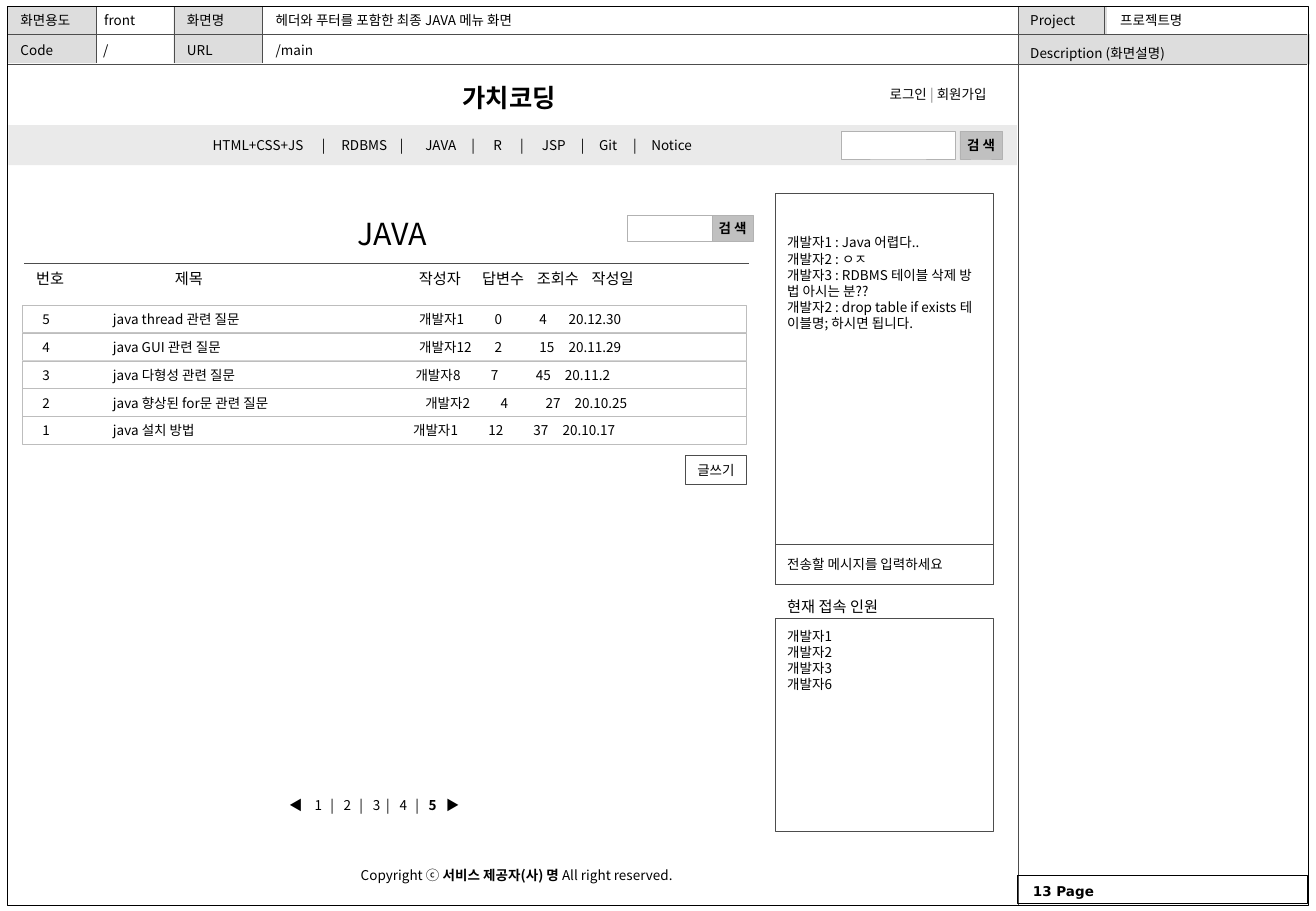
from dataclasses import dataclass
from typing import NamedTuple

from lxml import etree
from pptx import Presentation
from pptx.enum.shapes import MSO_CONNECTOR, MSO_SHAPE
from pptx.enum.text import MSO_ANCHOR, PP_ALIGN
from pptx.dml.color import RGBColor
from pptx.oxml.ns import qn
from pptx.util import Inches, Pt

RECTANGLE = MSO_SHAPE.RECTANGLE
STRAIGHT = MSO_CONNECTOR.STRAIGHT
TOP, MIDDLE = MSO_ANCHOR.TOP, MSO_ANCHOR.MIDDLE
LEFT, CENTER, RIGHT = PP_ALIGN.LEFT, PP_ALIGN.CENTER, PP_ALIGN.RIGHT
FONT = "Noto Sans CJK KR"
COLORS = {
    "black": "000000", "white": "FFFFFF", "label": "DDDDDD", "menu": "EAEAEA",
    "rule": "4D4D4D", "input": "B2B2B2", "button": "C0C0C0", "row": "BDBDBD",
    "divider": "808080",
}


class Area(NamedTuple):
    left: float
    top: float
    width: float
    height: float


class Span(NamedTuple):
    text: str
    bold: bool = False
    color: str = "black"


@dataclass(frozen=True)
class Style:
    size: float = 8
    align: PP_ALIGN = LEFT
    anchor: MSO_ANCHOR = TOP
    inset_left: float = 0.1
    inset_top: float = 0.05
    inset_right: float = 0
    before: float = 0
    last_spacing: float = 1
    stops: tuple[float, ...] = ()
    font: str = FONT


class Post(NamedTuple):
    number: str
    title: str
    author: str
    replies: str
    views: str
    date: str
    shift: float


deck = Presentation()
deck.slide_width, deck.slide_height = Inches(10.83), Inches(7.5)
page = deck.slides.add_slide(deck.slide_layouts[6])


def rgb(name: str) -> RGBColor:
    return RGBColor.from_string(COLORS[name])


def write(frame, paragraphs: list[list[Span]], style: Style) -> None:
    frame.word_wrap = True
    frame.vertical_anchor = style.anchor
    frame.margin_left = Inches(style.inset_left)
    frame.margin_right = Inches(style.inset_right)
    frame.margin_top, frame.margin_bottom = Inches(style.inset_top), Inches(0.05)
    for index, spans in enumerate(paragraphs):
        para = frame.add_paragraph() if index else frame.paragraphs[0]
        para.alignment = style.align
        para.space_before = Pt(style.before)
        if index == len(paragraphs) - 1 and style.last_spacing != 1:
            para.line_spacing = style.last_spacing
        if style.stops:
            tabs = etree.SubElement(para._p.get_or_add_pPr(), qn("a:tabLst"))
            for stop in style.stops:
                etree.SubElement(tabs, qn("a:tab"), pos=str(Inches(stop)), algn="l")
        for span in spans:
            run = para.add_run()
            run.text = span.text
            run.font.size, run.font.bold = Pt(style.size), span.bold
            run.font.color.rgb = rgb(span.color)
            run.font.name = style.font
            etree.SubElement(run._r.get_or_add_rPr(), qn("a:ea"), typeface=style.font)


def lines(*texts: str, bold: bool = False) -> list[list[Span]]:
    return [[Span(text, bold)] for text in texts]


def add_text(area: Area, paragraphs: list[list[Span]], style: Style = Style()) -> None:
    box = page.shapes.add_textbox(*map(Inches, area))
    write(box.text_frame, paragraphs, style)


def add_box(area: Area, fill: str = "", line: str = "",
            paragraphs: list[list[Span]] | None = None,
            style: Style = Style(anchor=MIDDLE)) -> None:
    box = page.shapes.add_shape(RECTANGLE, *map(Inches, area))
    box.shadow.inherit = False
    if fill:
        box.fill.solid()
        box.fill.fore_color.rgb = rgb(fill)
    else:
        box.fill.background()
    if line:
        box.line.color.rgb = rgb(line)
        box.line.width = Pt(0.25)
    else:
        box.line.fill.background()
    if paragraphs:
        write(box.text_frame, paragraphs, style)


def add_rule(x1: float, y1: float, x2: float, y2: float) -> None:
    rule = page.shapes.add_connector(STRAIGHT, *map(Inches, (x1, y1, x2, y2)))
    rule.line.color.rgb = rgb("rule")
    rule.line.width = Pt(0.25)
    etree.SubElement(rule._element.spPr, qn("a:effectLst"))


def add_search(field: Area, button: Area) -> None:
    add_box(field, "white", "input")
    add_box(button, "button", "input", lines("검 색", bold=True),
            Style(align=CENTER, anchor=MIDDLE, inset_left=0))


label = Style(before=1.6)
label_pair = Style(before=1.6, last_spacing=1.7)

add_box(Area(8.38, 0.28, 2.4, 0.25), "label")
add_box(Area(8.38, 0.05, 0.73, 0.23), "label")
add_text(Area(8.38, 0.05, 0.72, 0.24), lines("Project"), label)
add_text(Area(9.12, 0.05, 0.72, 0.24), lines("프로젝트명"), label)
add_text(Area(8.38, 0.28, 2.3, 0.24), lines("Description (화면설명)"),
         Style(before=1.6, last_spacing=1.6, anchor=MIDDLE))

for left, names in ((0.06, ("화면용도", "Code")), (1.43, ("화면명", "URL"))):
    add_box(Area(left, 0.05, 0.73, 0.47), "label")
    add_text(Area(left + 0.01, 0.05, 0.72, 0.24), lines(*names), label_pair)
for x, bottom in ((0.79, 0.52), (1.43, 0.52), (2.16, 0.52), (9.09, 0.28), (8.38, 7.45)):
    add_rule(x, 0.05, x, bottom)
for y in (0.28, 0.53):
    add_rule(0.07, y, 10.76, y)
add_box(Area(0.06, 0.05, 10.71, 7.4), line="black")
add_box(Area(8.37, 7.21, 2.39, 0.23), line="black")
add_text(Area(8.41, 7.22, 0.75, 0.22), lines("13 Page", bold=True),
         Style(font="DejaVu Sans", inset_left=0.09))

add_text(Area(0.76, 0.05, 0.9, 0.23), lines("front"))
add_text(Area(0.75, 0.3, 0.9, 0.23), lines("/"))
add_text(Area(2.17, 0.02, 2.74, 0.29), lines("헤더와 푸터를 포함한 최종 JAVA 메뉴 화면"),
         Style(anchor=MIDDLE))
add_text(Area(2.17, 0.3, 0.9, 0.23), lines("/main"))

add_text(Area(3.71, 0.63, 1.03, 0.35), lines("가치코딩", bold=True), Style(size=15))
add_text(Area(6.1, 0.66, 2.15, 0.24),
         [[Span("로그인 "), Span("|", color="divider"), Span(" 회원가입")]],
         Style(align=RIGHT, inset_right=0.13))
add_box(Area(0.07, 1.03, 8.3, 0.33), "menu")
menu = ("HTML+CSS+JS", "RDBMS", "JAVA", "R", "JSP", "Git", "Notice")
add_text(Area(0.58, 1.08, 6.3, 0.24), lines("\t|\t".join(menu)),
         Style(inset_left=1.17, stops=(0.9, 1.06, 1.54, 1.75, 2.13, 2.31,
                                       2.53, 2.71, 3.03, 3.18, 3.46, 3.61)))
add_search(Area(6.92, 1.08, 0.94, 0.23), Area(7.9, 1.08, 0.35, 0.23))

chat = lines("개발자1 : Java 어렵다..", "개발자2 : ㅇㅈ", "개발자3 : RDBMS 테이블 삭제 방",
             "법 아시는 분??", "개발자2 : drop table if exists 테", "이블명; 하시면 됩니다.")
add_box(Area(6.38, 1.59, 1.79, 3.22), "white", "rule", chat, Style(inset_top=0.34))
add_box(Area(6.38, 4.48, 1.79, 0.33), "white", "rule", lines("전송할 메시지를 입력하세요"))
add_text(Area(6.38, 4.87, 1.79, 0.25), lines("현재 접속 인원"), Style(size=9))
add_box(Area(6.38, 5.09, 1.79, 1.75), "white", "rule",
        lines(*(f"개발자{number}" for number in (1, 2, 3, 6))), Style(inset_top=0.08))

add_text(Area(2.84, 1.72, 0.96, 0.4), lines("JAVA"), Style(size=18))
add_search(Area(5.16, 1.77, 0.71, 0.22), Area(5.86, 1.77, 0.34, 0.22))
add_rule(0.2, 2.17, 6.16, 2.17)
headings = ("번호", "제목", "작성자", "답변수", "조회수", "작성일")
add_text(Area(0.2, 2.17, 5.96, 0.25), lines("\t".join(headings)),
         Style(size=9, stops=(1.14, 3.15, 3.67, 4.12, 4.57)))

posts = [
    Post("5", "java thread 관련 질문", "개발자1", "0", "4", "20.12.30", 0),
    Post("4", "java GUI 관련 질문", "개발자12", "2", "15", "20.11.29", 0),
    Post("3", "java 다형성 관련 질문", "개발자8", "7", "45", "20.11.2", -0.03),
    Post("2", "java 향상된 for문 관련 질문", "개발자2", "4", "27", "20.10.25", 0.05),
    Post("1", "java 설치 방법", "개발자1", "12", "37", "20.10.17", -0.05),
]
for index, post in enumerate(posts):
    stops = (0.58, *(stop + post.shift for stop in (3.1, 3.72, 4.09, 4.33)))
    add_box(Area(0.18, 2.51 + 0.23 * index, 5.96, 0.23), "white", "row",
            lines("\t".join(post[:6])),
            Style(anchor=MIDDLE, inset_left=0.17, stops=stops))
add_box(Area(5.64, 3.75, 0.5, 0.24), "white", "rule", lines("글쓰기"))

add_text(Area(2.28, 6.49, 3.92, 0.27),
         [[Span("◀\t1\t|\t2\t|\t3\t|\t4\t|\t"), Span("5", True), Span("\t▶")]],
         Style(anchor=MIDDLE, stops=(0.21, 0.34, 0.45, 0.58, 0.69,
                                     0.8, 0.91, 1.04, 1.15, 1.29)))
add_text(Area(2.87, 7.09, 2.99, 0.24),
         [[Span("Copyright ⓒ "), Span("서비스 제공자(사) 명", True),
           Span(" All right reserved.")]])

deck.save("out.pptx")
